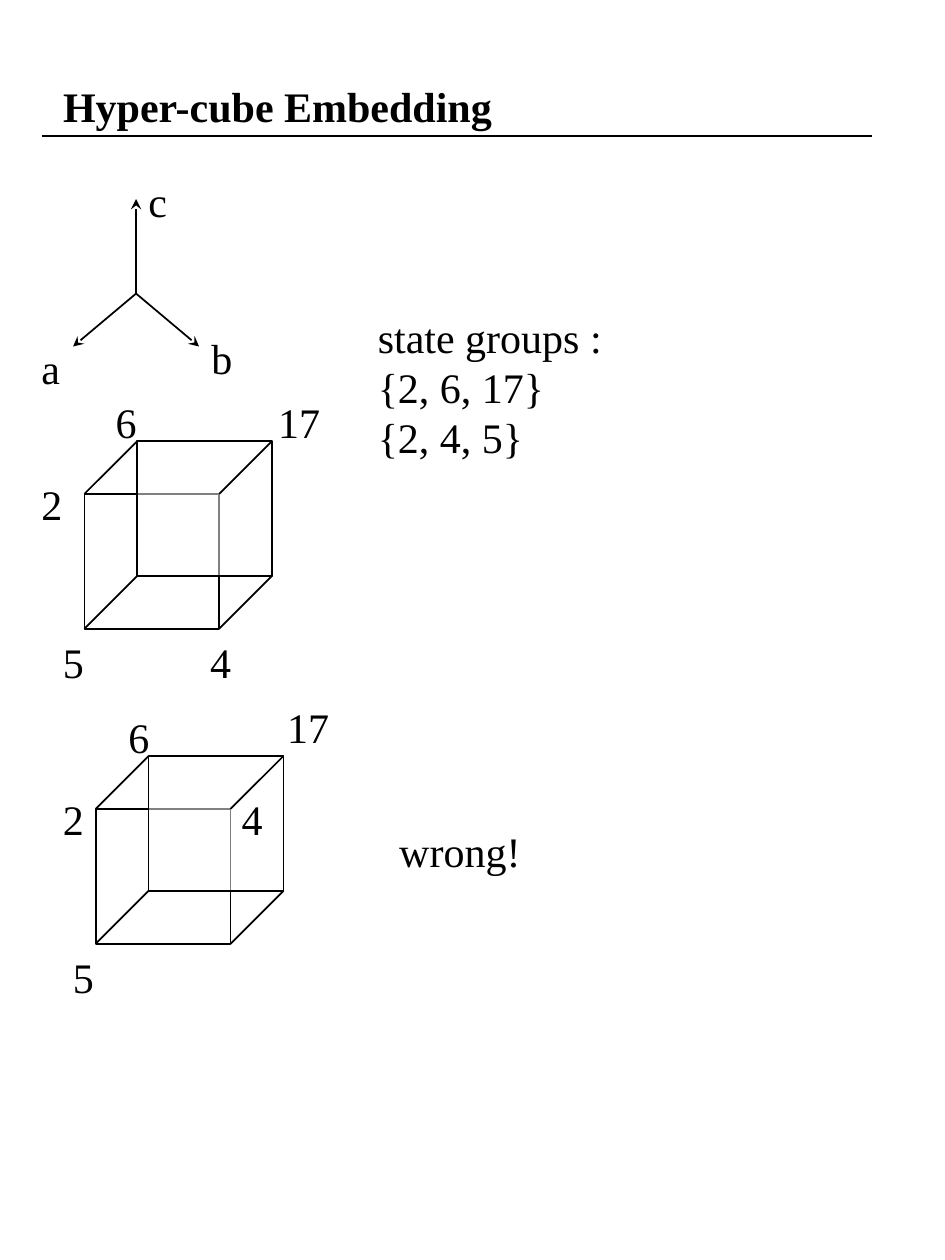
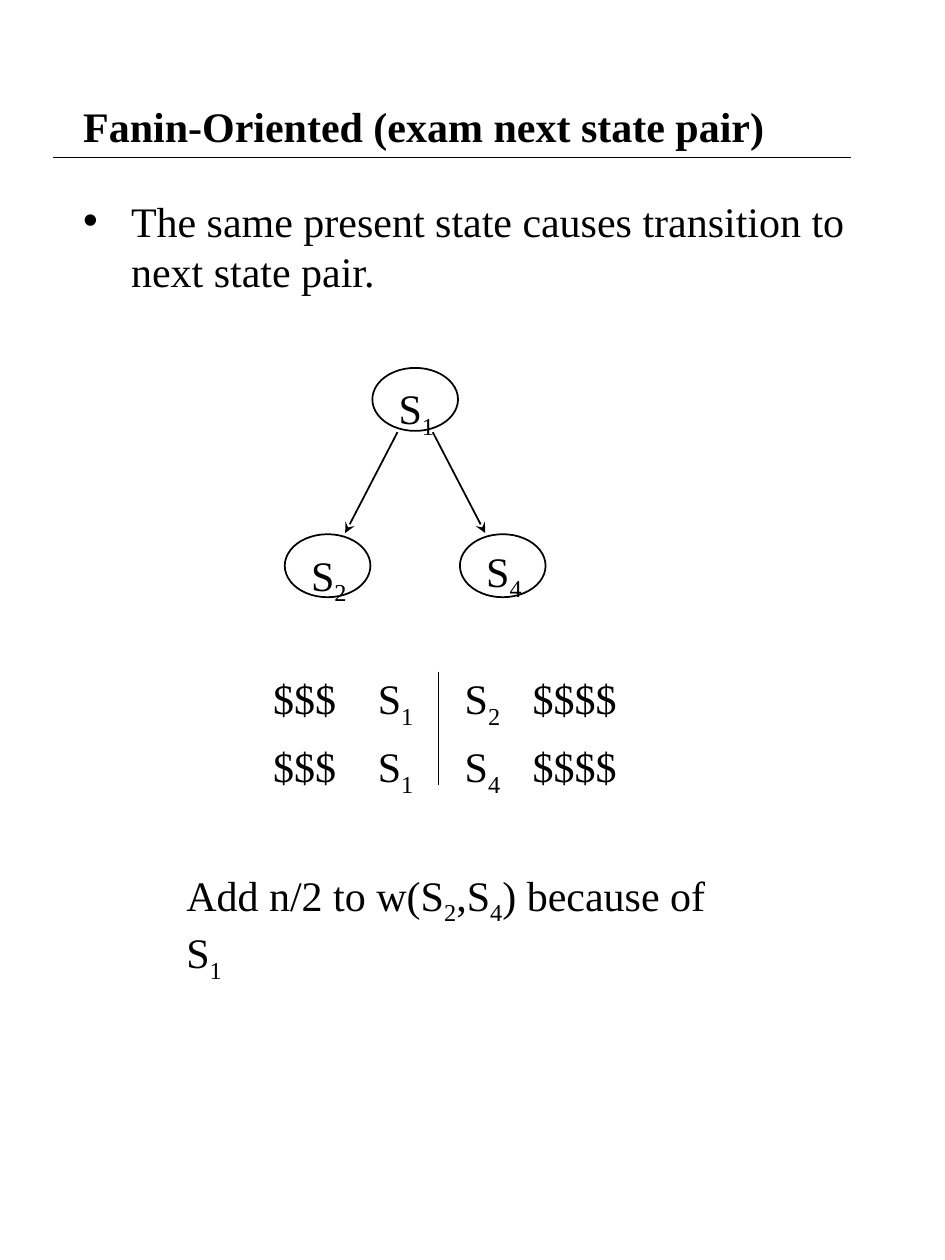
from dataclasses import dataclass
from typing import NamedTuple

from lxml import etree
from pptx import Presentation
from pptx import util as u
from pptx.dml import color
from pptx.enum import shapes, text
from pptx.oxml import ns


@dataclass(frozen=True)
class Theme:
    ink: color.RGBColor = color.RGBColor(0, 0, 0)
    paper: color.RGBColor = color.RGBColor(255, 255, 255)
    font: str = "Times New Roman"
    size: int = 24
    line: int = 1
    sheer: int = 50
    subscript: int = -25


class Box(NamedTuple):
    left: float
    top: float
    width: float
    height: float

    def inches(self):
        return [u.Inches(length) for length in self]


THEME = Theme()
LABEL_HEIGHT = 0.5


def style_font(font, bold=False):
    font.name = THEME.font
    font.size = u.Pt(THEME.size)
    font.bold = bold
    font.color.rgb = THEME.ink


def write_line(para, content):
    for index, piece in enumerate(content.split("_")):
        parts = [(piece, False)] if index == 0 else [(piece[0], True), (piece[1:], False)]
        for words, lowered in parts:
            if not words:
                continue
            span = para.add_run()
            span.text = words
            style_font(span.font)
            if lowered:
                properties = span._r.get_or_add_rPr()
                properties.set("baseline", str(THEME.subscript * 1000))


def add_text(page, box, *lines, tabs=(), gap=0):
    frame = page.shapes.add_textbox(*box.inches()).text_frame
    frame.word_wrap = False
    for index, content in enumerate(lines):
        para = frame.add_paragraph() if index else frame.paragraphs[0]
        para.space_before = u.Pt(gap if index else 0)
        if tabs:
            stops = etree.SubElement(para._p.get_or_add_pPr(), ns.qn("a:tabLst"))
            for position in tabs:
                stop = etree.SubElement(stops, ns.qn("a:tab"))
                stop.set("pos", str(u.Inches(position)))
                stop.set("algn", "l")
        write_line(para, content)


def add_line(page, start, end, arrow=False):
    points = [u.Inches(value) for value in (*start, *end)]
    line = page.shapes.add_connector(shapes.MSO_CONNECTOR.STRAIGHT, *points)
    line.line.color.rgb = THEME.ink
    line.line.width = u.Pt(THEME.line)
    if arrow:
        tip = etree.SubElement(line.line._get_or_add_ln(), ns.qn("a:tailEnd"))
        tip.set("type", "stealth")
    etree.SubElement(line._element.spPr, ns.qn("a:effectLst"))


def add_outline(page, kind, box, sheer=False):
    shape = page.shapes.add_shape(kind, *box.inches())
    shape.shadow.inherit = False
    shape.fill.solid()
    shape.fill.fore_color.rgb = THEME.paper
    shape.line.color.rgb = THEME.ink
    shape.line.width = u.Pt(THEME.line)
    if sheer:
        tint = shape._element.spPr.find(".//" + ns.qn("a:srgbClr"))
        etree.SubElement(tint, ns.qn("a:alpha")).set("val", str(THEME.sheer * 1000))


def fill_placeholder(holder, box, content, bold=False):
    holder.left, holder.top, holder.width, holder.height = box.inches()
    frame = holder.text_frame
    frame.text = content
    frame.word_wrap = True
    frame.auto_size = text.MSO_AUTO_SIZE.NONE
    para = frame.paragraphs[0]
    para.alignment = text.PP_ALIGN.LEFT
    para.space_before = u.Pt(0)
    for span in para.runs:
        style_font(span.font, bold)
    return frame


def add_heading(page, box, content, rule_left, rule_right, rule_top):
    frame = fill_placeholder(page.shapes.title, box, content, bold=True)
    frame.vertical_anchor = text.MSO_ANCHOR.MIDDLE
    add_line(page, (rule_left, rule_top), (rule_right, rule_top))


def add_bullet(page, box, content, indent=0.38):
    frame = fill_placeholder(page.placeholders[1], box, content)
    frame.vertical_anchor = text.MSO_ANCHOR.TOP
    properties = frame.paragraphs[0]._p.get_or_add_pPr()
    properties.set("marL", str(u.Inches(indent)))
    properties.set("indent", str(-u.Inches(indent)))
    etree.SubElement(properties, ns.qn("a:buChar")).set("char", "•")


def add_axes(page, box):
    middle = box.left + box.width / 2
    right, bottom = box.left + box.width, box.top + box.height
    center = (middle, box.top + 0.75)
    for tip in ((middle, box.top), (box.left, bottom), (right, bottom)):
        add_line(page, center, tip, arrow=True)
    for name, left, top in (
        ("c", middle, box.top - 0.24),
        ("a", box.left - 0.35, bottom - 0.08),
        ("b", right, bottom - 0.16),
    ):
        add_text(page, Box(left, top, 0.36, LABEL_HEIGHT), name)


def add_cube(page, box, labels):
    depth = 0.42
    side = box.width - depth
    front = Box(box.left, box.top + depth, side, side)
    back = Box(box.left + depth, box.top, side, side)
    add_outline(page, shapes.MSO_SHAPE.RECTANGLE, front)
    add_outline(page, shapes.MSO_SHAPE.RECTANGLE, back, sheer=True)
    for down in (0, side):
        for across in (0, side):
            add_line(
                page,
                (back.left + across, back.top + down),
                (front.left + across, front.top + down),
            )
    for name, left, top in labels:
        width = 0.2 + 0.17 * len(name)
        place = Box(box.left + left, box.top + top, width, LABEL_HEIGHT)
        add_text(page, place, name)


def add_state_tree(page, box):
    width, height, spread, gap = 0.68, 0.5, 0.14, 0.01
    middle = box.left + box.width / 2
    lower = box.top + box.height - height
    left, right = box.left + width / 2, box.left + box.width - width / 2
    for name, center, top, drop in (
        ("S_1", middle, box.top, 0.07),
        ("S_2", left, lower, 0.07),
        ("S_4", right, lower, 0.04),
    ):
        corner = center - width / 2
        add_outline(page, shapes.MSO_SHAPE.OVAL, Box(corner, top, width, height), sheer=True)
        add_text(page, Box(corner + 0.11, top + drop, 0.48, 0.56), name)
    for child, shift in ((left, spread), (right, -spread)):
        start = (middle - shift, box.top + height + gap)
        add_line(page, start, (child + shift, lower - gap), arrow=True)


def add_transitions(page, box):
    add_text(
        page,
        box,
        "$$$\tS_1\tS_2\t$$$$",
        "$$$\tS_1\tS_4\t$$$$",
        tabs=(0.83, 1.52, 2.06),
        gap=6,
    )
    divider = box.left + 1.41
    add_line(page, (divider, box.top + 0.04), (divider, box.top + 0.94))


def build_embedding(deck):
    page = deck.slides.add_slide(deck.slide_layouts[5])
    add_heading(page, Box(0.4, 0, 6.38, 1.67), "Hyper-cube Embedding", 0.33, 6.92, 1.08)
    add_axes(page, Box(0.58, 1.58, 1, 1.17))
    right_cube = [
        ("6", 0.15, -0.4), ("17", 1.44, -0.4), ("2", -0.44, 0.25),
        ("5", -0.27, 1.5), ("4", 0.9, 1.5),
    ]
    wrong_cube = [
        ("6", 0.16, -0.4), ("17", 1.42, -0.48), ("2", -0.36, 0.25),
        ("5", -0.28, 1.5), ("4", 1.06, 0.25),
    ]
    add_cube(page, Box(0.67, 3.5, 1.49, 1.49), right_cube)
    add_cube(page, Box(0.76, 6, 1.49, 1.49), wrong_cube)
    add_text(page, Box(2.9, 2.42, 1.98, 1.3), "state groups :", "{2, 6, 17}", "{2, 4, 5}")
    add_text(page, Box(3.07, 6.5, 1.16, LABEL_HEIGHT), "wrong!")


def build_fanin(deck):
    page = deck.slides.add_slide(deck.slide_layouts[1])
    heading = "Fanin-Oriented (exam next state pair)"
    add_heading(page, Box(0.56, 0.5, 6.37, 1), heading, 0.42, 6.75, 1.25)
    bullet = "The same present state causes transition to next state pair."
    add_bullet(page, Box(0.56, 1.5, 6.37, 1), bullet)
    add_state_tree(page, Box(2.26, 2.92, 2.07, 1.82))
    add_transitions(page, Box(2.07, 5.29, 2.94, 1.1))
    add_text(page, Box(1.38, 6.85, 4.68, 0.56), "Add n/2 to w(S_2,S_4) because of S_1")


def main():
    deck = Presentation()
    deck.slide_width, deck.slide_height = u.Inches(7.5), u.Inches(10)
    build_embedding(deck)
    build_fanin(deck)
    deck.save("out.pptx")


if __name__ == "__main__":
    main()
